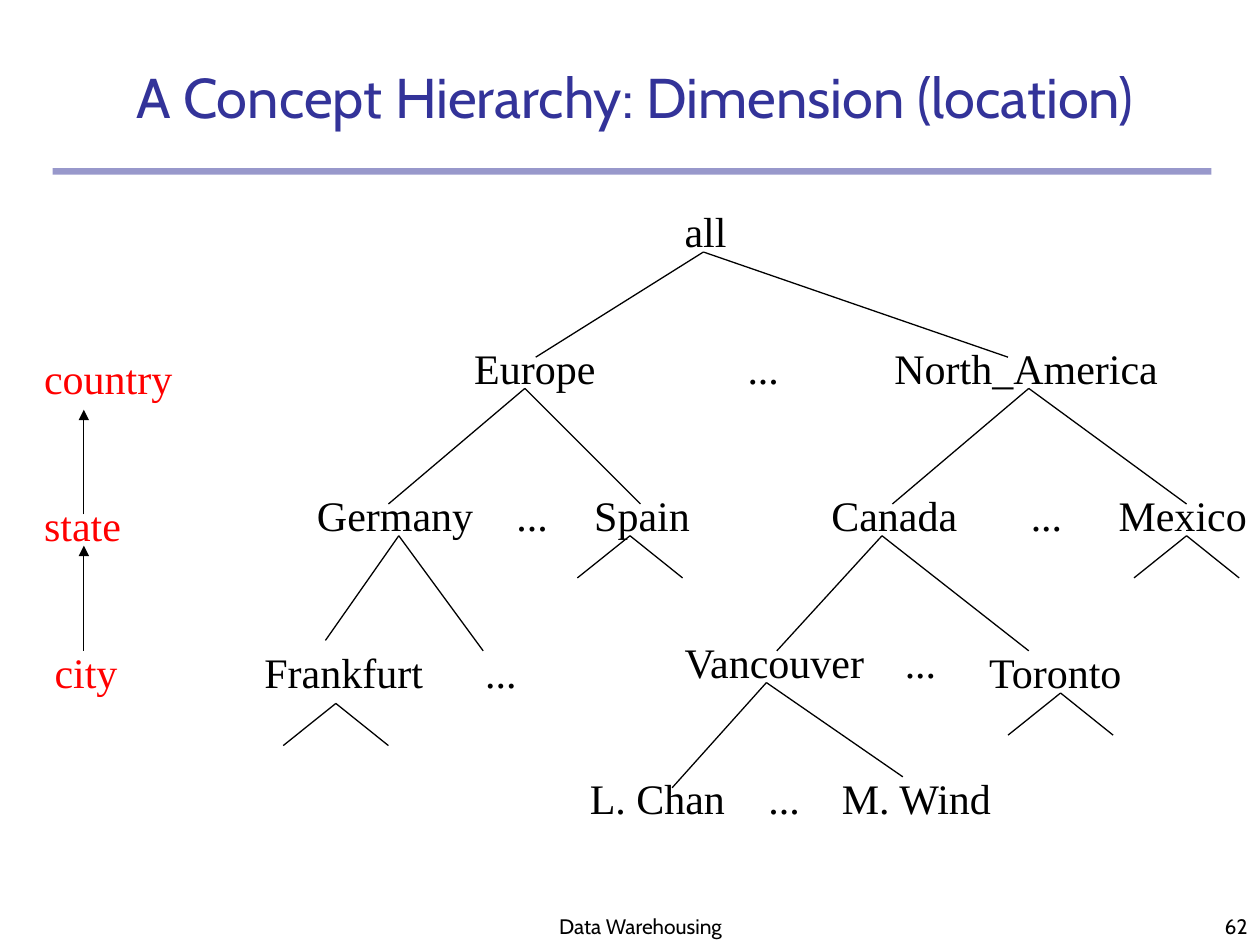
import pptx
import pptx.dml.color
import pptx.enum.shapes
import pptx.enum.text
import pptx.oxml.ns
import pptx.util
from lxml import etree
from pptx.util import Cm

BLACK = pptx.dml.color.RGBColor(0x00, 0x00, 0x00)
RED = pptx.dml.color.RGBColor(0xFF, 0x00, 0x00)
NAVY = pptx.dml.color.RGBColor(0x33, 0x33, 0x99)
WHITE = pptx.dml.color.RGBColor(0xFF, 0xFF, 0xFF)
HEADING_FONT, TREE_FONT = "Cabin", "Times New Roman"
ALIGN = pptx.enum.text.PP_ALIGN
ANCHOR = pptx.enum.text.MSO_ANCHOR
LABEL_HEIGHT = 1.27
DOTS_WIDTH = 1.14
STUB_REACH, STUB_DROP = 1.06, 0.85

# Labels in cm: text, left, top, width
NODES = [
    ("all", 13.55, 4.02, 1.35),
    ("Europe", 9.31, 6.77, 2.95),
    ("North_America", 17.78, 6.77, 5.82),
    ("Germany", 6.14, 9.74, 3.66),
    ("Spain", 11.73, 9.74, 2.44),
    ("Canada", 16.51, 9.74, 3.05),
    ("Mexico", 22.3, 9.74, 3.1),
    ("Frankfurt", 5.08, 12.91, 3.71),
    ("Vancouver", 13.55, 12.7, 4.22),
    ("Toronto", 19.69, 12.91, 3.23),
    ("L. Chan", 11.64, 15.45, 3.23),
    ("M. Wind", 16.72, 15.45, 3.56),
]
LEVELS = [
    ("country", 0.64, 6.99, 3.1),
    ("state", 0.64, 9.95, 2.06),
    ("city", 0.85, 12.91, 1.78),
]
DOTS = [(14.82, 6.77), (10.16, 9.74), (20.53, 9.74),
        (9.53, 12.91), (17.99, 12.7), (15.24, 15.45)]

# Parent point, then the points of its first and last child
BRANCHES = [
    ((14.18, 5.08), (10.8, 7.2), (20.32, 7.2)),        # all
    ((10.58, 7.83), (7.83, 10.16), (12.91, 10.16)),    # Europe
    ((20.74, 7.83), (17.99, 10.16), (23.92, 10.16)),   # North_America
    ((8.04, 10.8), (6.56, 12.91), (9.74, 13.12)),      # Germany
    ((17.78, 10.8), (15.66, 13.12), (20.74, 13.12)),   # Canada
    ((15.45, 13.76), (13.55, 15.88), (18.2, 15.66)),   # Vancouver
]
# Unexpanded nodes: Spain, Mexico, Frankfurt, Toronto
STUBS = [(12.7, 10.8), (23.92, 10.8), (6.77, 14.18), (21.38, 13.97)]
LEVEL_ARROWS = [((1.69, 10.37), (1.69, 8.26)), ((1.69, 13.12), (1.69, 11))]


def write(frame, text, size, font, color, align, anchor, wrap):
    frame.word_wrap = wrap
    frame.auto_size = pptx.enum.text.MSO_AUTO_SIZE.NONE
    frame.vertical_anchor = anchor
    para = frame.paragraphs[0]
    para.text = text
    para.alignment = align
    para.font.size = pptx.util.Pt(size)
    para.font.name = font
    para.font.color.rgb = color


def add_title(page, text):
    title = page.shapes.title
    title.left, title.top, title.width, title.height = Cm(1.69), Cm(1.06), Cm(22.23), Cm(1.69)
    write(title.text_frame, text, 32, HEADING_FONT, NAVY, ALIGN.CENTER, ANCHOR.BOTTOM, True)


def add_rule(page):
    rule = page.shapes.add_shape(pptx.enum.shapes.MSO_SHAPE.RECTANGLE,
                                 Cm(1.06), Cm(3.39), Cm(23.36), Cm(0.13))
    rule.shadow.inherit = False
    rule.fill.solid()
    rule.fill.fore_color.rgb = NAVY
    rule.line.fill.background()
    color = rule._element.spPr.find(".//" + pptx.oxml.ns.qn("a:srgbClr"))
    etree.SubElement(color, pptx.oxml.ns.qn("a:alpha"), val="50000")


def add_footer(page, text, left, top, width, height, align):
    box = page.shapes.add_textbox(Cm(left), Cm(top), Cm(width), Cm(height))
    write(box.text_frame, text, 12, HEADING_FONT, BLACK, align, ANCHOR.BOTTOM, True)


def add_label(page, text, left, top, width, color=BLACK):
    box = page.shapes.add_textbox(Cm(left), Cm(top), Cm(width), Cm(LABEL_HEIGHT))
    write(box.text_frame, text, 24, TREE_FONT, color, ALIGN.LEFT, ANCHOR.TOP, False)


def add_line(page, start, end, arrow=False):
    points = [Cm(value) for value in (*start, *end)]
    line = page.shapes.add_connector(pptx.enum.shapes.MSO_CONNECTOR.STRAIGHT, *points)
    line.line.color.rgb = BLACK
    line.line.width = pptx.util.Pt(0.75)
    if arrow:
        etree.SubElement(line.line._get_or_add_ln(), pptx.oxml.ns.qn("a:tailEnd"), type="triangle")
    etree.SubElement(line._element.spPr, pptx.oxml.ns.qn("a:effectLst"))


def add_branch(page, parent, *children):
    for child in children:
        add_line(page, parent, child)


def main():
    deck = pptx.Presentation()
    deck.slide_width, deck.slide_height = Cm(25.4), Cm(19.05)
    page = deck.slides.add_slide(deck.slide_layouts[5])
    page.background.fill.solid()
    page.background.fill.fore_color.rgb = WHITE

    # Heading and footer
    add_rule(page)
    add_title(page, "A Concept Hierarchy: Dimension (location)")
    add_footer(page, "Data Warehousing", 8.89, 17.58, 8.05, 1.47, ALIGN.CENTER)
    add_footer(page, "62", 20.12, 17.78, 5.28, 1.27, ALIGN.RIGHT)

    # Location tree
    for node in NODES:
        add_label(page, *node)
    for left, top in DOTS:
        add_label(page, "...", left, top, DOTS_WIDTH)
    for branch in BRANCHES:
        add_branch(page, *branch)
    for x, y in STUBS:
        add_branch(page, (x, y), (x - STUB_REACH, y + STUB_DROP), (x + STUB_REACH, y + STUB_DROP))

    # Level names, from city up to country
    for level in LEVELS:
        add_label(page, *level, color=RED)
    for start, end in LEVEL_ARROWS:
        add_line(page, start, end, arrow=True)

    deck.save("out.pptx")


if __name__ == "__main__":
    main()
